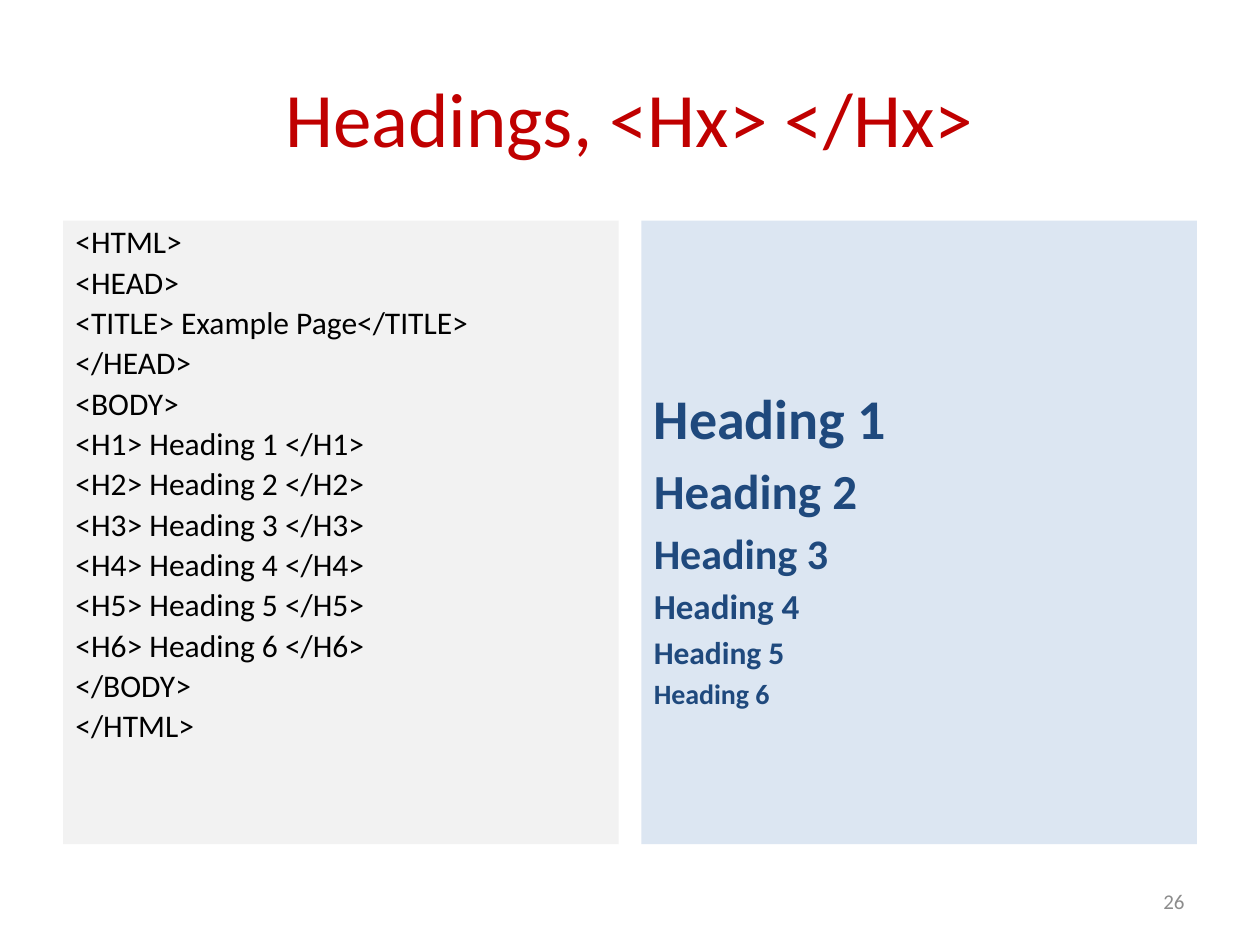
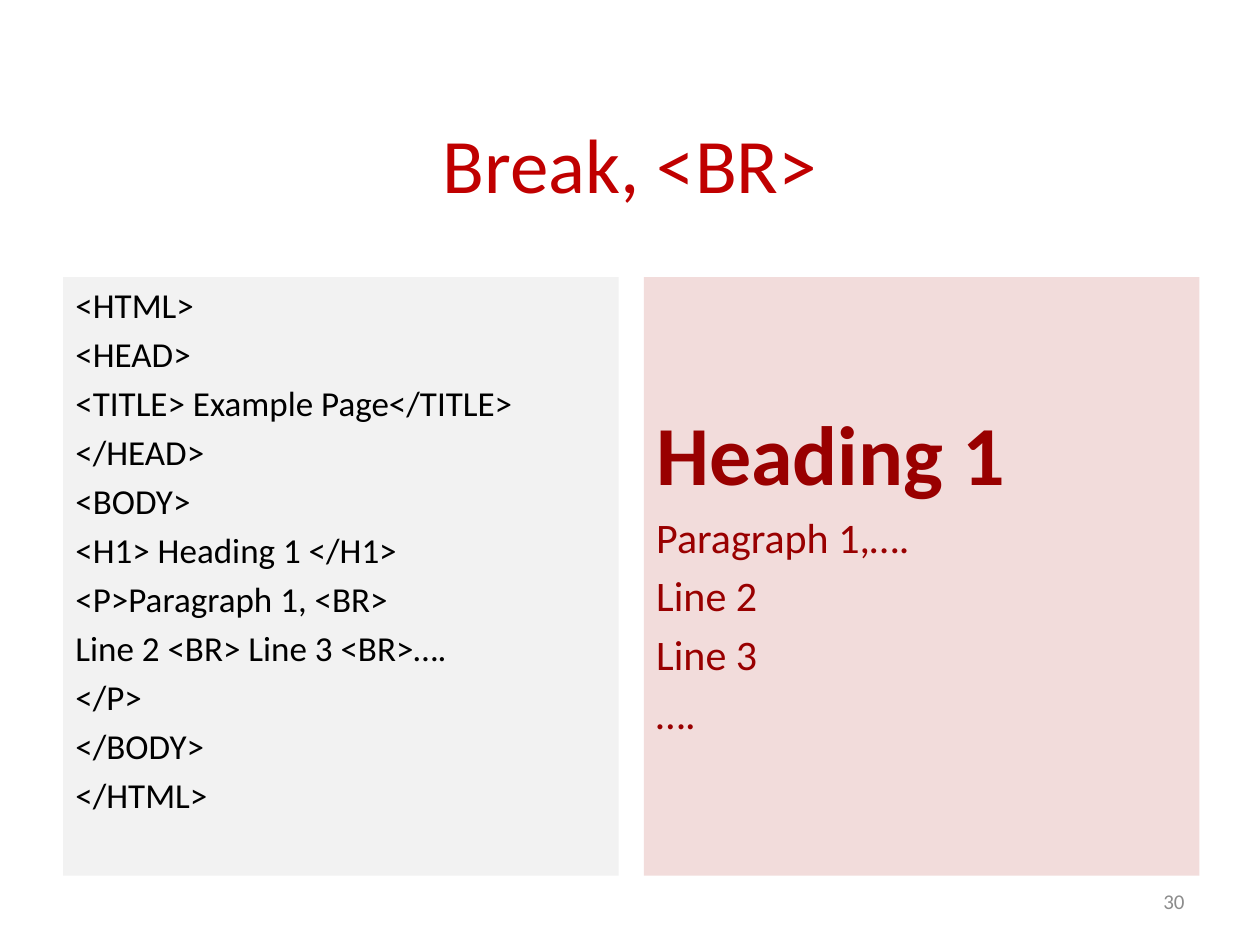
"""Builds two slides that pair HTML source with its rendered result."""
from dataclasses import dataclass

from pptx import Presentation
from pptx.dml.color import RGBColor
from pptx.enum.shapes import MSO_SHAPE
from pptx.enum.text import MSO_ANCHOR, PP_ALIGN
from pptx.util import Inches, Pt


@dataclass(frozen=True)
class Theme:
    font: str = "Calibri"
    title: str = "C00000"
    page: str = "8C8C8C"
    code: str = "000000"
    code_fill: str = "F2F2F2"
    blue: str = "1F497D"
    blue_fill: str = "DCE6F2"
    red: str = "990000"
    red_fill: str = "F2DCDB"
    title_size: int = 44
    page_size: int = 12
    gap: float = 0.2


theme = Theme()
footer = 6.95


def style(para, size, color, bold=False, align=PP_ALIGN.LEFT):
    para.alignment = align
    for run in para.runs:
        run.font.name = theme.font
        run.font.size = Pt(size)
        run.font.bold = bold
        run.font.color.rgb = RGBColor.from_string(color)


def add_panel(slide, left, top, fill, color, lines, inset=0.05, pitch=1.0):
    height = min(4.95, footer - top)
    panel = slide.shapes.add_shape(
        MSO_SHAPE.RECTANGLE, Inches(left), Inches(top), Inches(4.41), Inches(height))
    panel.shadow.inherit = False
    panel.fill.solid()
    panel.fill.fore_color.rgb = RGBColor.from_string(fill)
    panel.line.fill.background()
    frame = panel.text_frame
    frame.vertical_anchor = MSO_ANCHOR.TOP
    frame.margin_top = Inches(inset)
    frame.text = "\n".join(text for text, size, bold in lines)
    for para, (text, size, bold) in zip(frame.paragraphs, lines):
        style(para, size, color, bold)
        para.line_spacing = pitch
        para.space_before = Pt(round(size * theme.gap, 1))
    frame.paragraphs[0].space_before = Pt(0)


start = ["<HTML>", "<HEAD>", "<TITLE> Example Page</TITLE>", "</HEAD>", "<BODY>"]
end = ["</BODY>", "</HTML>"]
heads = [f"<H{n}> Heading {n} </H{n}>" for n in range(1, 7)]
breaks = [heads[0], "<P>Paragraph 1, <BR>", "Line 2 <BR> Line 3 <BR>….", "</P>"]
sizes = [32, 28, 24, 20, 18, 16]
pages = [
    dict(title="Headings, <Hx> </Hx>", box=(0.66, 0.3, 8.67, 1.25), page="26",
         top=1.75, code=heads, size=18, pitch=0.9,
         left=5.09, fill=theme.blue_fill, color=theme.blue, inset=1.29,
         result=[(f"Heading {n}", size, True) for n, size in enumerate(sizes, 1)]),
    dict(title="Break, <BR>", box=(0.5, 0.67, 9, 1.25), page="30",
         top=2.2, code=breaks, size=20, pitch=1.0,
         left=5.11, fill=theme.red_fill, color=theme.red, inset=0.99,
         result=[("Heading 1", 48, True)] + [
             (text, 24, False) for text in ("Paragraph 1,….", "Line 2", "Line 3", "….")]),
]

deck = Presentation()
deck.slide_width, deck.slide_height = Inches(10), Inches(7.5)

for page in pages:
    slide = deck.slides.add_slide(deck.slide_layouts[5])
    title = slide.shapes.title
    title.left, title.top, title.width, title.height = map(Inches, page["box"])
    title.text_frame.text = page["title"]
    title.text_frame.vertical_anchor = MSO_ANCHOR.MIDDLE
    style(title.text_frame.paragraphs[0], theme.title_size, theme.title,
          align=PP_ALIGN.CENTER)

    code = [(text, page["size"], False) for text in start + page["code"] + end]
    add_panel(slide, 0.5, page["top"], theme.code_fill, theme.code, code,
              pitch=page["pitch"])
    add_panel(slide, page["left"], page["top"], page["fill"], page["color"],
              page["result"], inset=page["inset"])

    number = slide.shapes.add_textbox(
        Inches(7.17), Inches(footer), Inches(2.33), Inches(0.4)).text_frame
    number.word_wrap = True
    number.vertical_anchor = MSO_ANCHOR.MIDDLE
    number.text = page["page"]
    style(number.paragraphs[0], theme.page_size, theme.page, align=PP_ALIGN.RIGHT)

deck.save("out.pptx")
